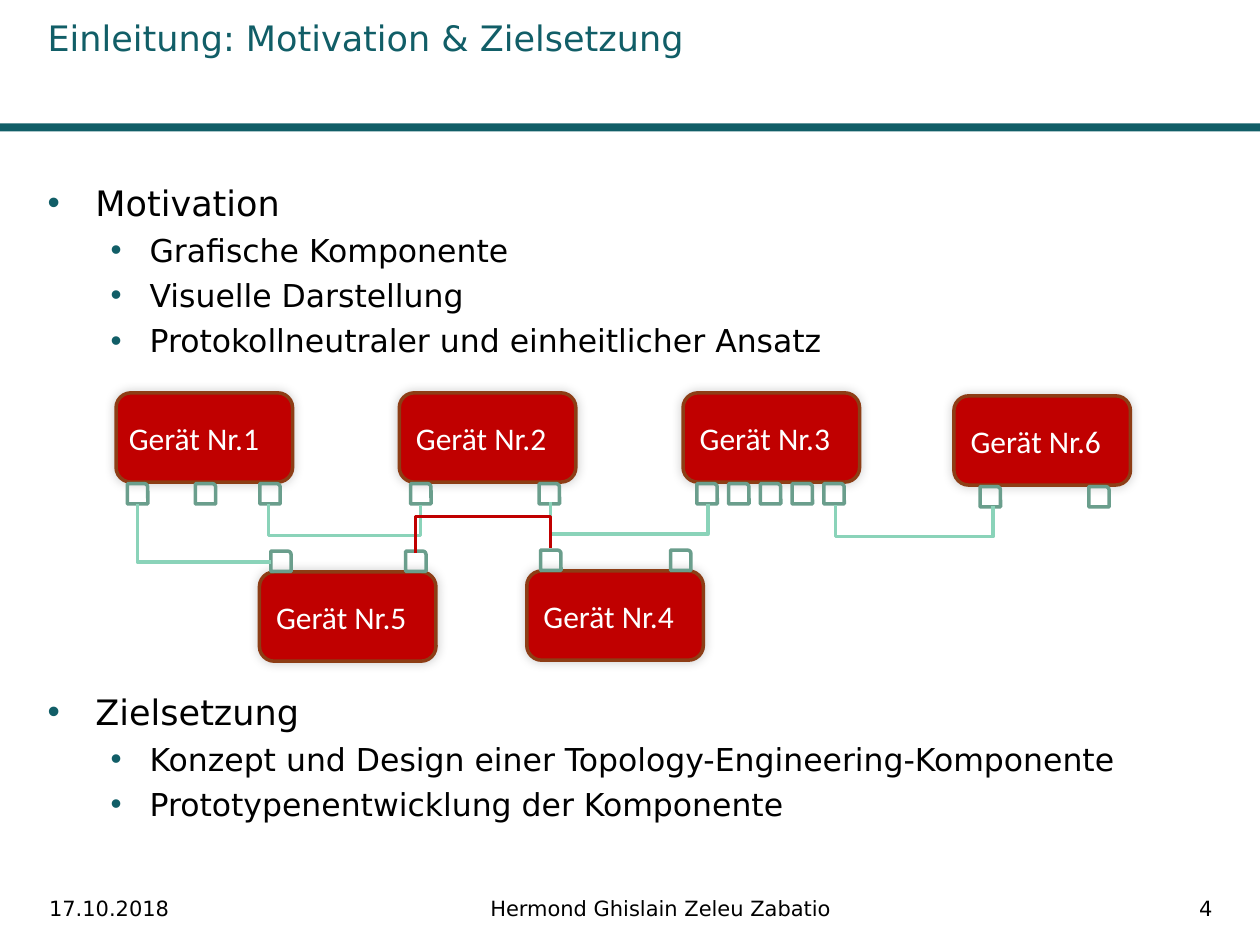
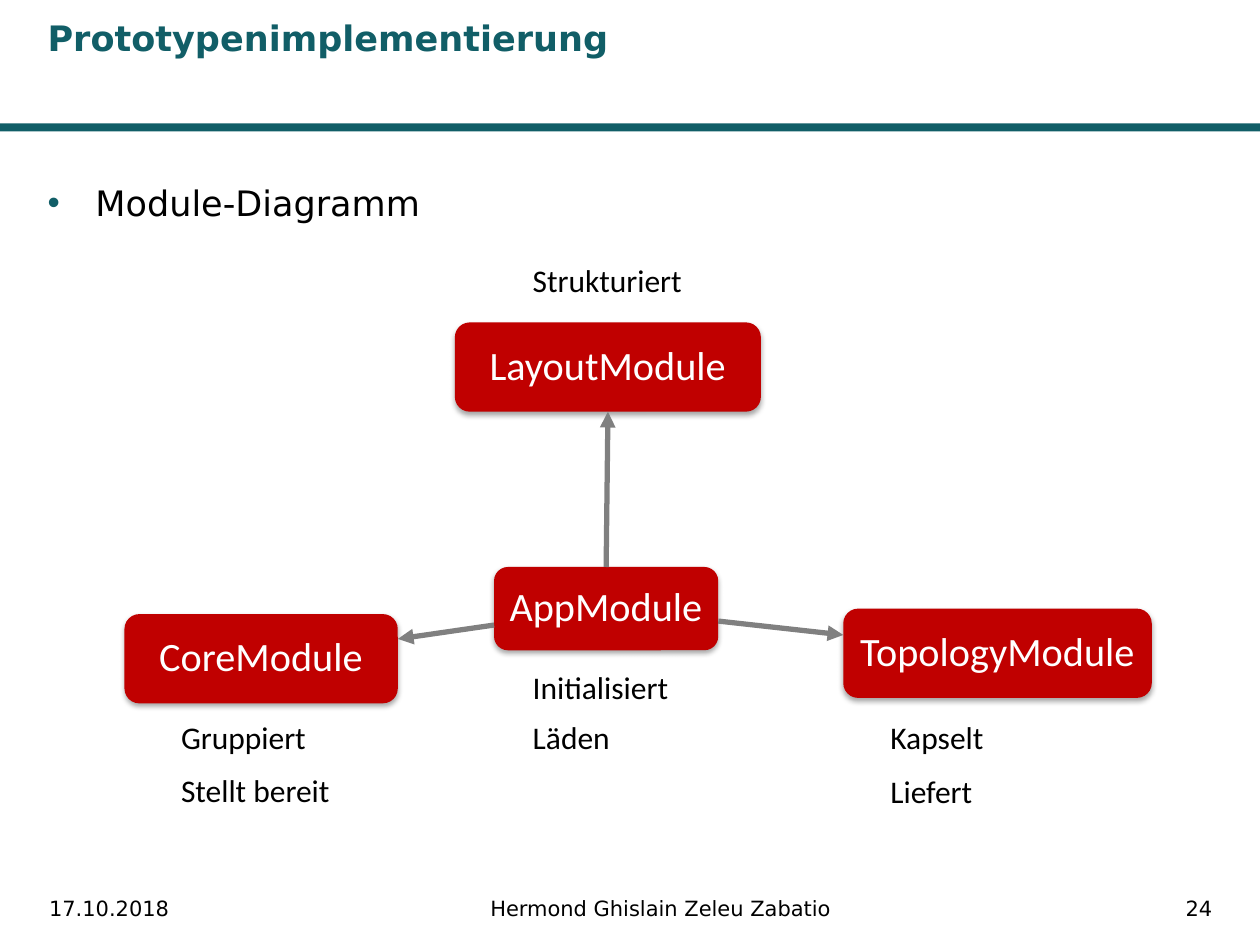
from lxml import etree
from pptx import Presentation, util as u
from pptx.dml.color import RGBColor
from pptx.enum import shapes, text
from pptx.oxml import ns

# Shared look
TEAL, RED, BROWN, BLACK, WHITE = "115E67", "C00000", "8D3D15", "000000", "FFFFFF"
PORT_GREEN, WIRE_GREEN, ARROW_GREY = "6A9E8C", "8AD3B9", "808080"
DECK_FONT, DIAGRAM_FONT = "DejaVu Sans", "Calibri"
LEFT, CENTER, RIGHT = text.PP_ALIGN.LEFT, text.PP_ALIGN.CENTER, text.PP_ALIGN.RIGHT
DATE, AUTHOR = "17.10.2018", "Hermond Ghislain Zeleu Zabatio"

# Sizes in cm
DEVICE_SIZE = (3.56, 1.8)
PORT = 0.41
BELOW, ABOVE = 1.83, -0.42

# Devices: label, left, top, port offset from the top, port offsets from the left
DEVICES = [
    ("Gerät Nr.1", 2.34, 7.92, BELOW, [0.23, 1.6, 2.9]),
    ("Gerät Nr.2", 8.05, 7.92, BELOW, [0.23, 2.82]),
    ("Gerät Nr.3", 13.77, 7.92, BELOW, [0.28 + 0.64 * i for i in range(5)]),
    ("Gerät Nr.6", 19.23, 7.98, BELOW, [0.53, 2.72]),
    ("Gerät Nr.5", 5.23, 11.53, ABOVE, [0.23, 2.95]),
    ("Gerät Nr.4", 10.62, 11.51, ABOVE, [0.28, 2.9]),
]

# Wires: start, end, height of the horizontal part, colour
WIRES = [
    ((5.41, 10.16), (8.48, 10.18), 10.8, WIRE_GREEN),
    ((2.77, 10.16), (5.46, 11.33), 11.33, WIRE_GREEN),
    ((11.1, 10.13), (14.27, 10.16), 10.77, WIRE_GREEN),
    ((8.38, 11.15), (11.1, 11.05), 10.41, RED),
    ((16.84, 10.19), (20.02, 10.21), 10.82, WIRE_GREEN),
]

# Modules: label -> left, top, width, height
MODULES = {
    "AppModule": (9.96, 11.43, 4.52, 1.68),
    "LayoutModule": (9.17, 6.5, 6.17, 1.8),
    "TopologyModule": (17.0, 12.27, 6.22, 1.8),
    "CoreModule": (2.51, 12.38, 5.51, 1.8),
}

# Captions: text, left, top
CAPTIONS = [
    ("Strukturiert", 10.49, 5.13),
    ("Initialisiert", 10.49, 13.34),
    ("Läden", 10.49, 14.35),
    ("Gruppiert", 3.4, 14.35),
    ("Stellt bereit", 3.4, 15.42),
    ("Kapselt", 17.7, 14.35),
    ("Liefert", 17.7, 15.44),
]


def color(hex_value):
    return RGBColor.from_string(hex_value)


def cm(*lengths):
    return [u.Cm(length) for length in lengths]


def sub(parent, tag, **attributes):
    """Append a DrawingML element with the given attributes."""
    element = etree.SubElement(parent, ns.qn(tag))
    for key, value in attributes.items():
        element.set(key, str(value))
    return element


def set_font(paragraph, size, name, hex_value, bold=False):
    font = paragraph.font
    font.size, font.name, font.bold = u.Pt(size), name, bold
    font.color.rgb = color(hex_value)


def add_text(slide, box, words, size, name=DECK_FONT, hex_value=BLACK,
             align=LEFT, bold=False):
    frame = slide.shapes.add_textbox(*cm(*box)).text_frame
    frame.word_wrap = True
    paragraph = frame.paragraphs[0]
    paragraph.text, paragraph.alignment = words, align
    set_font(paragraph, size, name, hex_value, bold)


def add_bullets(slide, top, height, heading, points=()):
    """A heading with second-level points below it."""
    frame = slide.shapes.add_textbox(*cm(0.71, top, 24.0, height)).text_frame
    frame.word_wrap = True
    for i, words in enumerate([heading, *points]):
        size, margin, hang = (18, 0.81, 0.31) if i else (20, 0.38, 0.38)
        paragraph = frame.add_paragraph() if i else frame.paragraphs[0]
        paragraph.text = words
        paragraph.space_before = u.Pt(4.3 if i else 0)
        set_font(paragraph, size, DECK_FONT, BLACK)
        properties = paragraph._p.get_or_add_pPr()
        properties.set("marL", str(u.Inches(margin)))
        properties.set("indent", str(-u.Inches(hang)))
        sub(sub(properties, "a:buClr"), "a:srgbClr", val=TEAL)
        sub(properties, "a:buFont", typeface="Arial")
        sub(properties, "a:buChar", char="•")


def add_shape(slide, kind, box, fill=None, line=None):
    shape = slide.shapes.add_shape(kind, *cm(*box))
    shape.shadow.inherit = False
    if fill:
        shape.fill.solid()
        shape.fill.fore_color.rgb = color(fill)
    else:
        shape.fill.background()
    if line:
        shape.line.color.rgb = color(line)
        shape.line.width = u.Pt(2)
    else:
        shape.line.fill.background()
    return shape


def add_red_box(slide, box, label, size, align, line=None, inset=0.25,
                blur=3.1, distance=1.8, angle=90, opacity=35):
    """A rounded red box with a label and a soft shadow."""
    shape = add_shape(slide, shapes.MSO_SHAPE.ROUNDED_RECTANGLE, box, RED, line)
    effects = shape._element.spPr.find(ns.qn("a:effectLst"))
    shadow = sub(effects, "a:outerShdw", blurRad=u.Pt(blur), dist=u.Pt(distance),
                 dir=angle * 60000, algn="ctr", rotWithShape=0)
    sub(sub(shadow, "a:srgbClr", val=BLACK), "a:alpha", val=opacity * 1000)
    frame = shape.text_frame
    frame.word_wrap = True
    frame.vertical_anchor = text.MSO_ANCHOR.MIDDLE
    frame.margin_left = u.Cm(inset)
    frame.margin_right = u.Cm(0.15)
    paragraph = frame.paragraphs[0]
    paragraph.text, paragraph.alignment = label, align
    set_font(paragraph, size, DIAGRAM_FONT, WHITE)
    return shape


def style_line(connector, hex_value, width):
    connector.line.color.rgb = color(hex_value)
    connector.line.width = u.Pt(width)
    sub(connector._element.spPr, "a:effectLst")


def add_wire(slide, start, end, detour, hex_value):
    """An elbow that runs vertically to the detour height, then across and to the end."""
    (x1, y1), (x2, y2) = start, end
    across, rise = x2 - x1, abs(y2 - y1)
    wire = slide.shapes.add_connector(shapes.MSO_CONNECTOR.ELBOW, *cm(*start, *end))
    # The elbow bends along its width, so it is turned by a quarter about its centre
    wire.left, wire.top, wire.width, wire.height = cm(
        (x1 + x2 - rise) / 2, (y1 + y2 - across) / 2, rise, across)
    properties = wire._element.spPr
    frame = properties.find(ns.qn("a:xfrm"))
    upward = detour < y1
    frame.set("rot", str((90 if upward else 270) * 60000))
    frame.set("flipH", "1")
    frame.set("flipV", "1" if upward else "0")
    guides = properties.find(ns.qn("a:prstGeom")).find(ns.qn("a:avLst"))
    bend = round(abs(detour - y1) / rise * 100000)
    sub(guides, "a:gd", name="adj1", fmla=f"val {bend}")
    style_line(wire, hex_value, 2)


def add_arrow(slide, start, end):
    arrow = slide.shapes.add_connector(shapes.MSO_CONNECTOR.STRAIGHT, *cm(*start, *end))
    style_line(arrow, ARROW_GREY, 3)
    sub(arrow._element.spPr.find(ns.qn("a:ln")), "a:tailEnd", type="triangle")
    return arrow


def add_base(deck, title, number, bold=False):
    """A blank slide with band, title and footer."""
    slide = deck.slides.add_slide(deck.slide_layouts[6])
    add_shape(slide, shapes.MSO_SHAPE.RECTANGLE, (0, 2.49, 25.4, 0.16), TEAL)
    add_text(slide, (0.71, 0.2, 15.19, 2.0), title, 20, hex_value=TEAL, bold=bold)
    for left, width, words, align in [(0.74, 5.16, DATE, LEFT),
                                      (6.45, 13.74, AUTHOR, CENTER),
                                      (20.7, 3.99, number, RIGHT)]:
        add_text(slide, (left, 17.93, width, 0.79), words, 12, align=align)
    return slide


def build_motivation(deck):
    slide = add_base(deck, "Einleitung: Motivation & Zielsetzung", "4")
    add_bullets(slide, 3.53, 4.0, "Motivation", [
        "Grafische Komponente", "Visuelle Darstellung",
        "Protokollneutraler und einheitlicher Ansatz"])
    add_bullets(slide, 13.79, 3.5, "Zielsetzung", [
        "Konzept und Design einer Topology-Engineering-Komponente",
        "Prototypenentwicklung der Komponente"])

    # Devices with their ports
    for label, left, top, port_side, port_offsets in DEVICES:
        add_red_box(slide, (left, top, *DEVICE_SIZE), label, 18, LEFT, line=BROWN,
                    inset=0.17 if label == "Gerät Nr.1" else 0.25,
                    blur=6, distance=0, angle=225, opacity=20)
        for offset in port_offsets:
            add_shape(slide, shapes.MSO_SHAPE.ROUND_1_RECTANGLE,
                      (left + offset, top + port_side, PORT, PORT), line=PORT_GREEN)

    for wire in WIRES:
        add_wire(slide, *wire)


def build_modules(deck):
    slide = add_base(deck, "Prototypenimplementierung", "24", bold=True)
    add_bullets(slide, 3.53, 1.5, "Module-Diagramm")

    # Modules
    boxes = {}
    for label, box in MODULES.items():
        boxes[label] = add_red_box(slide, box, label, 23, CENTER, inset=0.15)
        boxes[label].text_frame.paragraphs[0].line_spacing = 0.9

    # Arrows from the app module
    to_layout = add_arrow(slide, (12.22, 11.43), (12.25, 8.3))
    to_layout.begin_connect(boxes["AppModule"], 0)
    to_layout.end_connect(boxes["LayoutModule"], 2)
    add_arrow(slide, (14.48, 12.52), (17.0, 12.8))
    add_arrow(slide, (9.96, 12.6), (8.02, 12.88))

    for words, left, top in CAPTIONS:
        add_text(slide, (left, top, 4.4, 1.02), words, 18, DIAGRAM_FONT)


def main():
    deck = Presentation()
    deck.slide_width, deck.slide_height = cm(25.4, 19.05)
    build_motivation(deck)
    build_modules(deck)
    deck.save("out.pptx")


if __name__ == "__main__":
    main()
